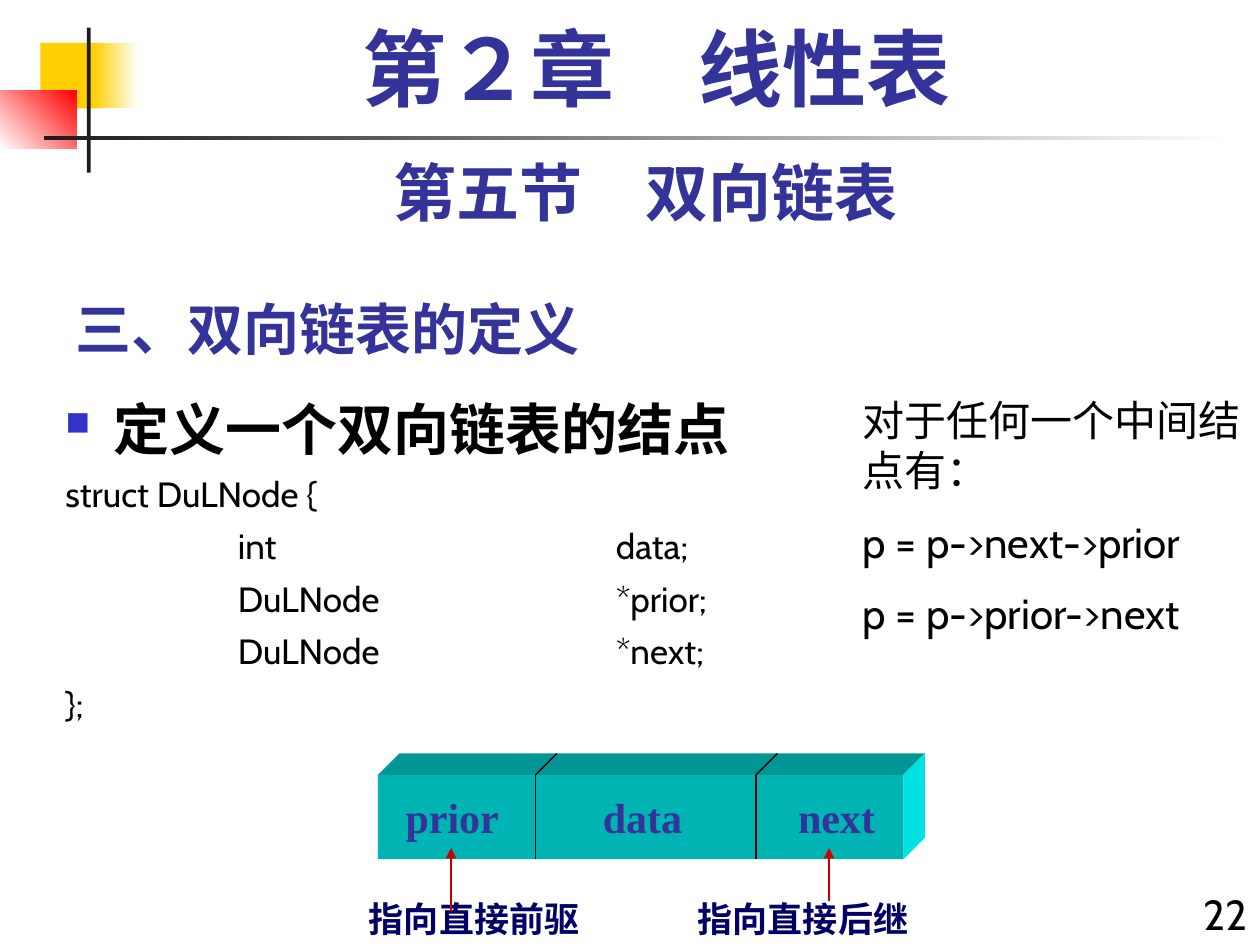
from dataclasses import dataclass
from typing import NamedTuple, Optional

from lxml.etree import SubElement
from pptx import Presentation
from pptx.dml.color import RGBColor
from pptx.enum.shapes import MSO_CONNECTOR, MSO_SHAPE
from pptx.enum.text import MSO_ANCHOR, PP_ALIGN
from pptx.oxml.ns import qn
from pptx.util import Inches, Pt


@dataclass(frozen=True)
class Theme:
    indigo: str = "333399"
    navy: str = "000066"
    black: str = "000000"
    charcoal: str = "1C1C1C"
    white: str = "FFFFFF"
    yellow: str = "FFCF01"
    red: str = "FF0000"
    arrow: str = "C80000"
    bullet: str = "3333CC"
    box_front: str = "00B4B4"
    box_top: str = "009696"
    box_side: str = "00E1E1"
    sans: str = "Cabin"
    serif: str = "Times New Roman"
    chinese: str = "Noto Sans CJK SC"
    chapter_size: int = 48
    section_size: int = 36
    heading_size: int = 32
    text_size: int = 24
    code_size: int = 20


class Bar(NamedTuple):
    left: float
    top: float
    width: float
    height: float
    color: str
    end_color: Optional[str] = None
    angle: float = 0


class Field(NamedTuple):
    name: str
    left: float
    right: float
    center: float


class Pointer(NamedTuple):
    caption: str
    caption_left: float
    x: float
    bottom: float


THEME = Theme()
DECORATION = [
    Bar(0.32, 0.34, 0.48, 0.52, THEME.yellow),
    Bar(0.74, 0.34, 0.36, 0.52, THEME.yellow, THEME.white),
    Bar(0, 0.72, 0.61, 0.46, THEME.white, THEME.red, 45),
    Bar(0.69, 0.22, 0.03, 1.15, THEME.charcoal),
    Bar(0.35, 1.08, 9.45, 0.03, THEME.charcoal, THEME.white),
]
FIELDS = [
    Field("prior", 3, 4.25, 3.59),
    Field("data", 4.25, 6, 5.1),
    Field("next", 6, 7.17, 6.64),
]
POINTERS = [
    Pointer("指向直接前驱", 2.83, 3.58, 7.23),
    Pointer("指向直接后继", 5.44, 6.58, 7.15),
]
BOX_TOP, BOX_BOTTOM, BOX_DEPTH = 6.15, 6.82, 0.17
POINTER_TIP = 6.73
CODE_TABS = (1.37, 4.37)
CODE = ["struct DuLNode {", "\tint\tdata;", "\tDuLNode\t*prior;", "\tDuLNode\t*next;", "};"]


def add_text(slide, lines, left, top, width, height, *, size, color=THEME.black,
             font=THEME.sans, bold=False, align=PP_ALIGN.LEFT, anchor=MSO_ANCHOR.TOP,
             space_before=0, line_spacing=None):
    """Add a text box with one paragraph per line and return its text frame."""
    frame = slide.shapes.add_textbox(
        Inches(left), Inches(top), Inches(width), Inches(height)).text_frame
    frame.word_wrap = True
    frame.vertical_anchor = anchor
    for index, line in enumerate(lines):
        paragraph = frame.paragraphs[0] if index == 0 else frame.add_paragraph()
        paragraph.alignment = align
        paragraph.space_before = Pt(space_before if index else 0)
        if line_spacing:
            paragraph.line_spacing = line_spacing
        run = paragraph.add_run()
        run.text = line
        format_run(run, size, color, font, bold)
    return frame


def format_run(run, size: float, color: str, font: str, bold: bool) -> None:
    run.font.size = Pt(size)
    run.font.bold = bold
    run.font.color.rgb = RGBColor.from_string(color)
    run.font.name = font
    SubElement(run.font._element, qn("a:ea"), typeface=THEME.chinese)


def add_bar(slide, bar: Bar) -> None:
    shape = slide.shapes.add_shape(
        MSO_SHAPE.RECTANGLE, *(Inches(length) for length in bar[:4]))
    shape.shadow.inherit = False
    shape.line.fill.background()
    if bar.end_color is None:
        shape.fill.solid()
        shape.fill.fore_color.rgb = RGBColor.from_string(bar.color)
        return
    shape.fill.gradient()
    shape.fill.gradient_angle = bar.angle
    for stop, color in zip(shape.fill.gradient_stops, (bar.color, bar.end_color)):
        stop.color.rgb = RGBColor.from_string(color)


def add_face(slide, points, color: str) -> None:
    """Add one slanted face of the node box."""
    corners = [(Inches(x), Inches(y)) for x, y in points]
    builder = slide.shapes.build_freeform(*corners[0])
    builder.add_line_segments(corners[1:])
    shape = builder.convert_to_shape()
    shape.shadow.inherit = False
    shape.line.fill.background()
    shape.fill.solid()
    shape.fill.fore_color.rgb = RGBColor.from_string(color)


def add_line(slide, start, end, color: str, arrow: bool = False) -> None:
    line = slide.shapes.add_connector(
        MSO_CONNECTOR.STRAIGHT, *(Inches(length) for length in (*start, *end)))
    line.line.width = Pt(0.75)
    line.line.color.rgb = RGBColor.from_string(color)
    if arrow:
        SubElement(line.line._get_or_add_ln(), qn("a:tailEnd"), type="triangle")
    SubElement(line._element.spPr, qn("a:effectLst"))


def add_bullet(paragraph) -> None:
    properties = paragraph._p.get_or_add_pPr()
    properties.set("marL", str(Inches(0.38)))
    properties.set("indent", str(-Inches(0.38)))
    color = SubElement(properties, qn("a:buClr"))
    SubElement(color, qn("a:srgbClr"), val=THEME.bullet)
    SubElement(properties, qn("a:buSzPct"), val="60000")
    SubElement(properties, qn("a:buChar"), char="■")


def add_tabs(paragraph) -> None:
    tabs = SubElement(paragraph._p.get_or_add_pPr(), qn("a:tabLst"))
    for position in CODE_TABS:
        SubElement(tabs, qn("a:tab"), pos=str(Inches(position)), algn="l")


def add_definition(slide) -> None:
    frame = add_text(slide, ["定义一个双向链表的结点", *CODE], 0.42, 3.08, 9.58, 4.25,
                     size=THEME.code_size, space_before=6)
    heading, *code = frame.paragraphs
    add_bullet(heading)
    heading.runs[0].font.size = Pt(THEME.heading_size)
    heading.runs[0].font.bold = True
    for paragraph in code:
        add_tabs(paragraph)


def add_node(slide) -> None:
    left, right = FIELDS[0].left, FIELDS[-1].right
    back_right, back_top = right + BOX_DEPTH, BOX_TOP - BOX_DEPTH
    add_face(slide, [(left, BOX_TOP), (left + BOX_DEPTH, back_top),
                     (back_right, back_top), (right, BOX_TOP)], THEME.box_top)
    add_face(slide, [(right, BOX_TOP), (back_right, back_top),
                     (back_right, BOX_BOTTOM - BOX_DEPTH), (right, BOX_BOTTOM)], THEME.box_side)
    add_bar(slide, Bar(left, BOX_TOP, right - left, BOX_BOTTOM - BOX_TOP, THEME.box_front))
    for field in FIELDS:
        add_text(slide, [field.name], field.center - 0.58, BOX_TOP, 1.16,
                 BOX_BOTTOM - BOX_TOP, size=THEME.text_size, color=THEME.indigo,
                 font=THEME.serif, bold=True, align=PP_ALIGN.CENTER, anchor=MSO_ANCHOR.MIDDLE)
    for field in FIELDS[1:]:
        corner = (field.left, BOX_TOP)
        add_line(slide, corner, (field.left, BOX_BOTTOM), THEME.black)
        add_line(slide, corner, (field.left + BOX_DEPTH, back_top), THEME.black)
    for pointer in POINTERS:
        add_text(slide, [pointer.caption], pointer.caption_left, 7.07, 2, 0.43,
                 size=THEME.code_size, color=THEME.navy, font=THEME.serif, bold=True)
        add_line(slide, (pointer.x, pointer.bottom), (pointer.x, POINTER_TIP),
                 THEME.arrow, arrow=True)


def main() -> None:
    presentation = Presentation()
    presentation.slide_width, presentation.slide_height = Inches(10), Inches(7.5)
    slide = presentation.slides.add_slide(presentation.slide_layouts[6])
    for bar in DECORATION:
        add_bar(slide, bar)
    add_text(slide, ["三、双向链表的定义"], 0.5, 2.17, 6.25, 0.75, size=THEME.heading_size,
             color=THEME.indigo, font=THEME.chinese, bold=True, anchor=MSO_ANCHOR.BOTTOM)
    add_text(slide, ["22"], 9.33, 7, 0.67, 0.5, size=THEME.text_size, align=PP_ALIGN.RIGHT)
    add_text(slide, ["第五节　双向链表"], 0.5, 1.17, 9.25, 0.7, size=THEME.section_size,
             color=THEME.indigo, bold=True, align=PP_ALIGN.CENTER)
    add_definition(slide)
    add_text(slide, ["第２章　线性表"], 0.67, 0.17, 9.08, 0.83, size=THEME.chapter_size,
             color=THEME.indigo, font=THEME.serif, bold=True, align=PP_ALIGN.CENTER,
             line_spacing=0.9)
    add_node(slide)
    add_text(slide, ["对于任何一个中间结点有：", "p = p->next->prior", "p = p->prior->next"],
             6.75, 3.08, 3.25, 2.1, size=THEME.text_size, space_before=12)
    presentation.save("out.pptx")


if __name__ == "__main__":
    main()
